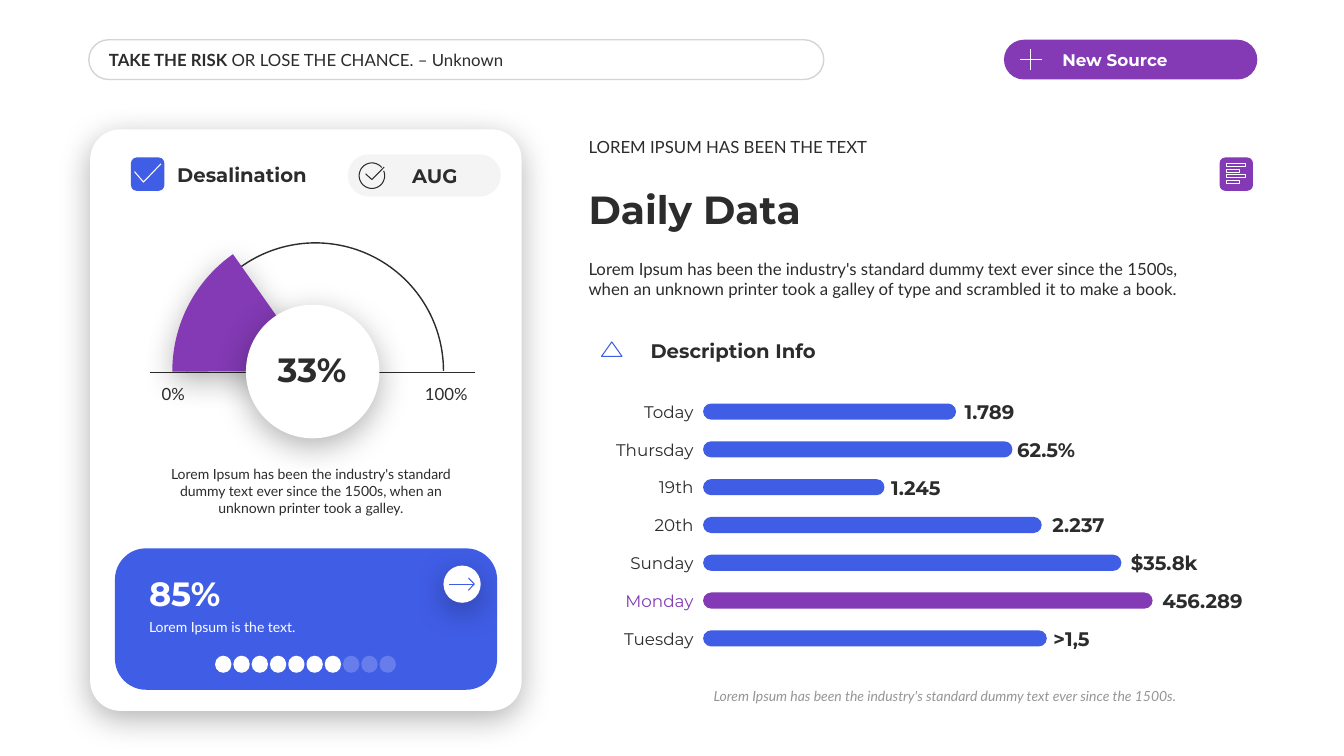
import math
from dataclasses import dataclass

from lxml import etree
from pptx import Presentation
from pptx import util as u
from pptx.dml.color import RGBColor
from pptx.enum import shapes, text
from pptx.oxml.ns import qn

SHAPE = shapes.MSO_SHAPE
ANCHOR = text.MSO_ANCHOR
ALIGN = text.PP_ALIGN


@dataclass(frozen=True)
class Theme:
    ink: str = "2C2C2C"
    white: str = "FFFFFF"
    blue: str = "405DE6"
    purple: str = "833AB4"
    muted: str = "969696"
    body: str = "Lato"
    display: str = "Montserrat"
    small: int = 10
    normal: int = 12
    label: int = 14
    figure: int = 24
    title: int = 28
    icon_line: float = 0.75


class Board:
    def __init__(self, slide, theme):
        self.slide = slide
        self.theme = theme

    def shape(self, kind, box, fill=None, line=None, alpha=None, adjust=(), shadow=False):
        """Add a preset shape; alpha is the opacity in percent of its one colour."""
        item = self.slide.shapes.add_shape(kind, *map(u.Pt, box))
        for index, value in enumerate(adjust):
            item.adjustments[index] = value
        self.paint(item, fill, line, 1)
        if alpha is not None:
            for color in item.element.spPr.iter(qn("a:srgbClr")):
                etree.SubElement(color, qn("a:alpha"), val=str(alpha * 1000))
        if shadow:
            self.cast_shadow(item)
        return item

    def paint(self, item, fill, line, width):
        item.shadow.inherit = False
        if fill:
            item.fill.solid()
            item.fill.fore_color.rgb = RGBColor.from_string(fill)
        else:
            item.fill.background()
        if line:
            item.line.color.rgb = RGBColor.from_string(line)
            item.line.width = u.Pt(width)
        else:
            item.line.fill.background()

    def cast_shadow(self, item):
        effects = item.element.spPr.find(qn("a:effectLst"))
        outer = etree.SubElement(effects, qn("a:outerShdw"), blurRad=str(u.Pt(23)),
                                 dist=str(u.Pt(6)), dir="5400000", algn="t", rotWithShape="0")
        color = etree.SubElement(outer, qn("a:srgbClr"), val="000000")
        etree.SubElement(color, qn("a:alpha"), val="30000")

    def pill(self, box, **style):
        return self.shape(SHAPE.ROUNDED_RECTANGLE, box, adjust=[0.5], **style)

    def icon(self, strokes, color, close=False):
        """Draw one outline icon from lists of (x, y) points."""
        strokes = [[(u.Pt(x), u.Pt(y)) for x, y in stroke] for stroke in strokes]
        builder = self.slide.shapes.build_freeform(*strokes[0][0])
        for number, (start, *rest) in enumerate(strokes):
            if number:
                builder.move_to(*start)
            builder.add_line_segments(rest, close=close)
        self.paint(builder.convert_to_shape(), None, color, self.theme.icon_line)

    def rule(self, x1, x2, y):
        line = self.slide.shapes.add_connector(
            shapes.MSO_CONNECTOR.STRAIGHT, *map(u.Pt, (x1, y, x2, y)))
        line.line.color.rgb = RGBColor.from_string(self.theme.ink)
        line.line.width = u.Pt(1)
        etree.SubElement(line.element.spPr, qn("a:effectLst"))

    def text(self, box, runs, size, font=None, color=None, bold=False, italic=False,
             align=ALIGN.LEFT, anchor=ANCHOR.MIDDLE, insets=(7.2, 3.6), wrap=True, after=0):
        """Add one paragraph; runs is a string or a list of (string, bold)."""
        item = self.slide.shapes.add_textbox(*map(u.Pt, box))
        frame = item.text_frame
        frame.word_wrap = wrap
        frame.auto_size = text.MSO_AUTO_SIZE.SHAPE_TO_FIT_TEXT
        frame.vertical_anchor = anchor
        frame.margin_left = frame.margin_right = u.Pt(insets[0])
        frame.margin_top = frame.margin_bottom = u.Pt(insets[1])
        paragraph = frame.paragraphs[0]
        paragraph.alignment = align
        paragraph.space_after = u.Pt(after)
        for words, strong in [(runs, bold)] if isinstance(runs, str) else runs:
            run = paragraph.add_run()
            run.text = words
            run.font.name = font or self.theme.body
            run.font.size = u.Pt(size)
            run.font.bold = strong
            run.font.italic = italic
            run.font.color.rgb = RGBColor.from_string(color or self.theme.ink)

    def heading(self, box, words, size, **style):
        self.text(box, words, size, font=self.theme.display, bold=True, **style)


def draw_header(board, t):
    board.pill((63.4, 28.4, 525, 28.4), line=t.ink, alpha=20)
    board.text((74.9, 32, 468.7, 21.6),
               [("TAKE THE RISK ", True), ("OR LOSE THE CHANCE. – Unknown", False)],
               t.normal, insets=(2.9, 3.6))
    board.pill((717.1, 28.4, 181, 28.4), fill=t.purple)
    board.heading((751.7, 32, 145.4, 21.6), "New Source", t.normal, color=t.white)
    board.icon([[(728.6, 42.5), (744.2, 42.5)], [(736.4, 34.9), (736.4, 50.1)]], t.white)


def draw_gauge(board, t):
    half_turn, full_turn, wedge_end = 107.89, 0, 140.88
    board.shape(SHAPE.ARC, (133.9, 173.5, 182.9, 182.9), line=t.ink,
                adjust=[half_turn, full_turn])
    board.rule(107.5, 339.2, 266)
    for left, width, words in ((115.4, 16.6, "0%"), (303.3, 31, "100%")):
        board.text((left, 274.3, width, 14.4), words, t.normal, align=ALIGN.CENTER,
                   insets=(0, 0), wrap=False)
    board.shape(SHAPE.ARC, (123.1, 162.9, 204.5, 204.5), fill=t.purple,
                adjust=[half_turn, wedge_end], shadow=True)
    board.text((102.2, 329, 239.8, 43.9),
               "Lorem Ipsum has been the industry's standard dummy text ever since the 1500s, "
               "when an unknown printer took a galley.",
               t.small, align=ALIGN.CENTER, anchor=ANCHOR.TOP, after=6)
    board.shape(SHAPE.OVAL, (175.7, 217.7, 95.4, 95.4), fill=t.white, shadow=True)
    board.heading((169.2, 245.5, 107.3, 36), "33%", t.figure, align=ALIGN.CENTER)


def draw_progress(board, t):
    board.shape(SHAPE.ROUNDED_RECTANGLE, (82.1, 391.7, 273, 101), fill=t.blue, adjust=[0.22])
    board.text((99.4, 438.5, 144, 19.4), "Lorem Ipsum is the text.", t.small,
               color=t.white, anchor=ANCHOR.TOP)
    board.heading((99.4, 405.4, 144, 36), "85%", t.figure, color=t.white, anchor=ANCHOR.BOTTOM)
    dots, filled = 10, 7
    for dot in range(dots):
        board.pill((153.7 + 13.05 * dot, 468.4, 11.6, 12.2), fill=t.white,
                   alpha=None if dot < filled else 20)
    board.shape(SHAPE.OVAL, (316.8, 404, 26.6, 26.6), fill=t.white, shadow=True)
    board.icon([[(320.8, 417.2), (338.8, 417.2)],
                [(334.6, 412.8), (338.8, 417.2), (334.6, 421.6)]], t.blue)


def draw_card(board, t):
    board.shape(SHAPE.ROUNDED_RECTANGLE, (64.4, 92.4, 308.2, 415.4), fill=t.white,
                adjust=[0.07], shadow=True)
    board.shape(SHAPE.ROUNDED_RECTANGLE, (93.6, 112.5, 23.8, 23.8), fill=t.blue)
    board.icon([[(96.1, 122.6), (102.5, 130), (115, 117)]], t.white)
    board.heading((119.5, 112.3, 114.5, 24.5), "Desalination", t.label)
    board.pill((248.4, 110.2, 109.4, 30.2), fill=t.ink, alpha=5)
    ring = [(265.7 + 9.1 * math.cos(math.radians(a)), 125.5 + 9.1 * math.sin(math.radians(a)))
            for a in range(-22, -22 + 343, 6)]
    board.icon([ring, [(261.2, 124.2), (265.7, 128.3), (274.5, 119.3)]], t.ink)
    board.heading((287.3, 113, 62.6, 24.5), "AUG", t.label)
    draw_gauge(board, t)
    draw_progress(board, t)


def draw_introduction(board, t):
    left, width = 413.3, 447.8
    board.text((left, 94.3, width, 21.6), "LOREM IPSUM HAS BEEN THE TEXT", t.normal,
               anchor=ANCHOR.BOTTOM)
    board.heading((left, 128.2, width, 41), "Daily Data", t.title, anchor=ANCHOR.BOTTOM)
    board.text((left, 181.4, width, 36),
               "Lorem Ipsum has been the industry's standard dummy text ever since the 1500s, "
               "when an unknown printer took a galley of type and scrambled it to make a book.",
               t.normal, anchor=ANCHOR.TOP, after=6)
    board.shape(SHAPE.ROUNDED_RECTANGLE, (871.2, 112.5, 23.8, 23.8), fill=t.purple)
    entries = []
    for row, end in enumerate((889.4, 885.6, 889.4, 885.6)):
        top = 117.1 + 3.85 * row
        entries.append([(876.2, top), (end, top), (end, top + 2.1), (876.2, top + 2.1)])
    board.icon(entries, t.white, close=True)


def draw_bars(board, t):
    board.heading((457.6, 238.3, 357.1, 24.5), "Description Info", t.label,
                  anchor=ANCHOR.BOTTOM)
    board.icon([[(437, 244.2), (444.3, 254.5), (429.7, 254.5)]], t.blue, close=True)
    # day, bar length, left edge of the value, value
    days = (
        ("Today", 180.7, 689, "1.789"),
        ("Thursday", 221, 726.5, "62.5%"),
        ("19th", 129.6, 636.5, "1.245"),
        ("20th", 241.9, 751.7, "2.237"),
        ("Sunday", 298.8, 807.8, "$35.8k"),
        ("Monday", 321.1, 830.2, "456.289"),
        ("Tuesday", 245.5, 752.4, ">1,5"),
    )
    for row, (day, length, value_left, value) in enumerate(days):
        middle = 294 + 27 * row
        peak = day == "Monday"
        board.pill((502.2, middle - 5.75, length, 11.5), fill=t.purple if peak else t.blue)
        board.text((421.2, middle - 10.8, 74.2, 21.6), day, t.normal, font=t.display,
                   color=t.purple if peak else t.ink, align=ALIGN.RIGHT, insets=(0, 3.6))
        board.heading((value_left, middle - 12.2, 97.2, 24.5), value, t.label, insets=(0, 3.6))
    board.text((502.6, 487.4, 391.7, 19.4),
               "Lorem Ipsum has been the industry's standard dummy text ever since the 1500s.",
               t.small, color=t.muted, italic=True, anchor=ANCHOR.TOP, after=6)


def main():
    deck = Presentation()
    deck.slide_width, deck.slide_height = u.Pt(960), u.Pt(540)
    theme = Theme()
    board = Board(deck.slides.add_slide(deck.slide_layouts[6]), theme)
    for draw in (draw_card, draw_header, draw_introduction, draw_bars):
        draw(board, theme)
    deck.save("out.pptx")


if __name__ == "__main__":
    main()
